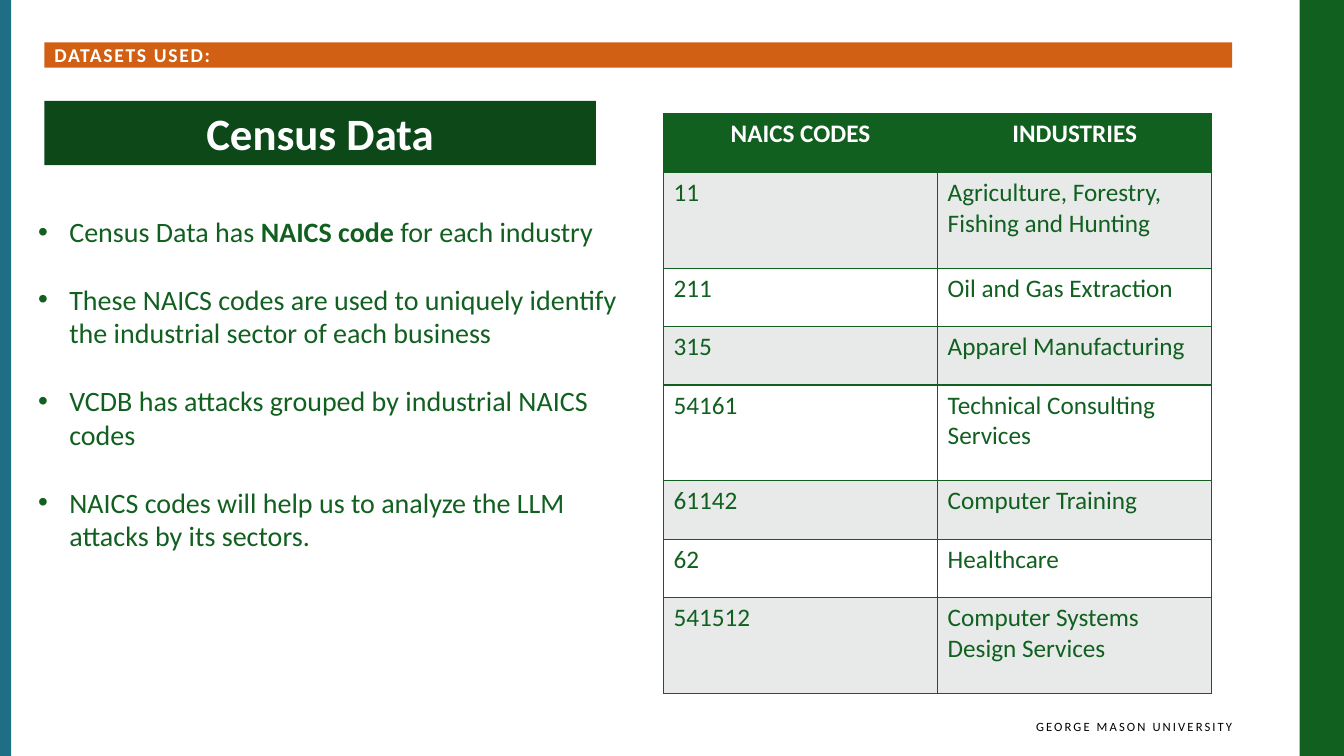
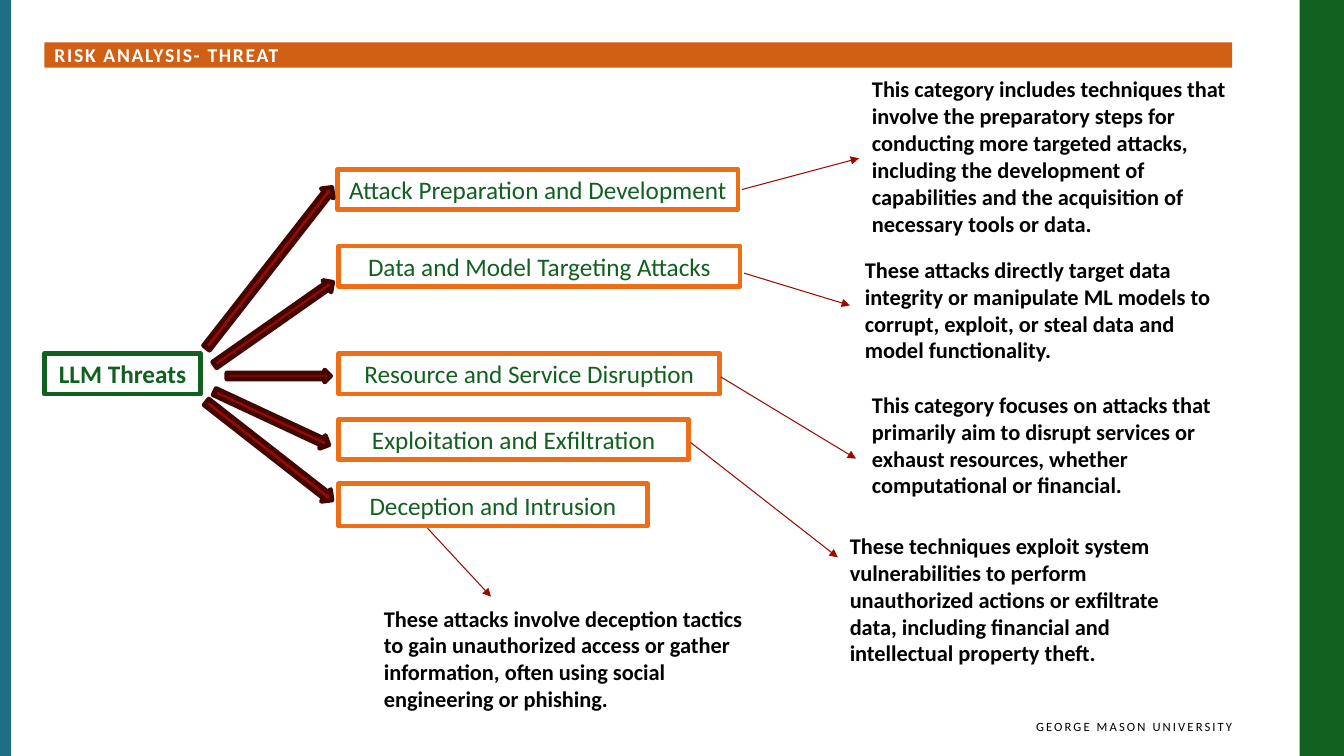
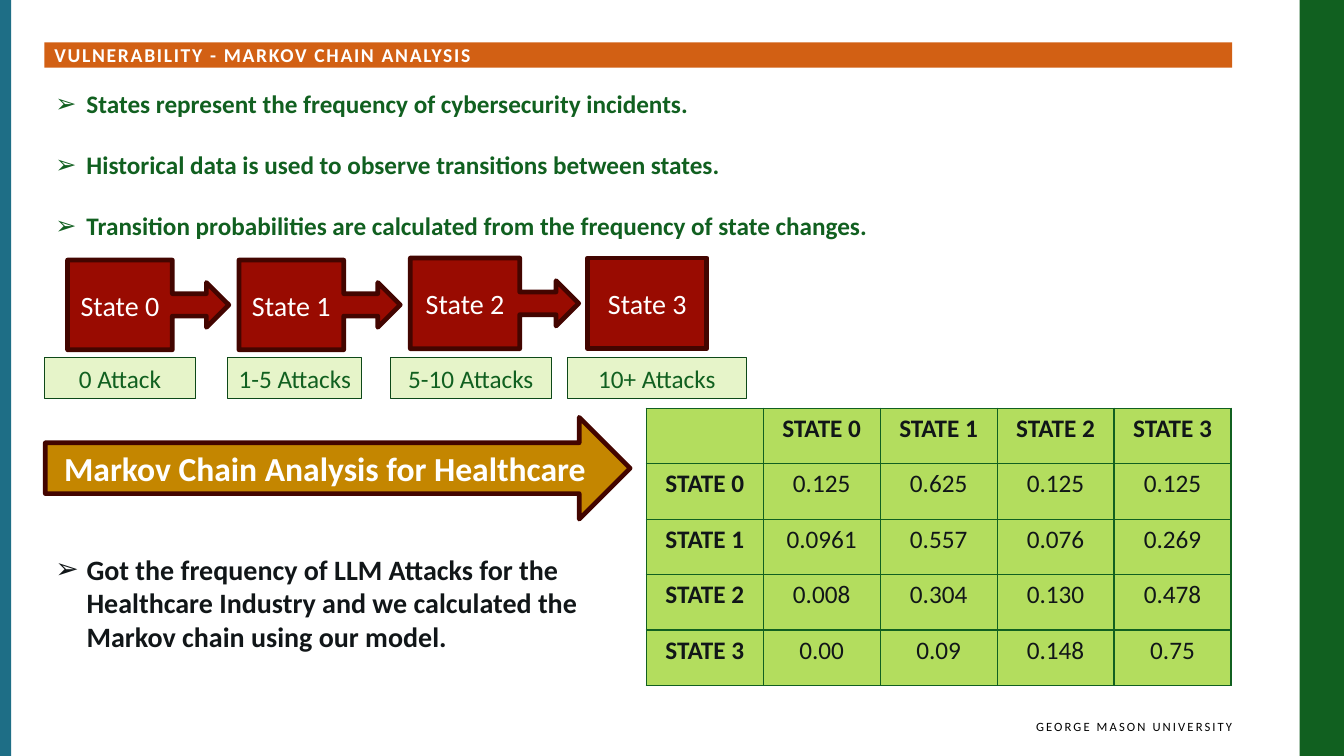
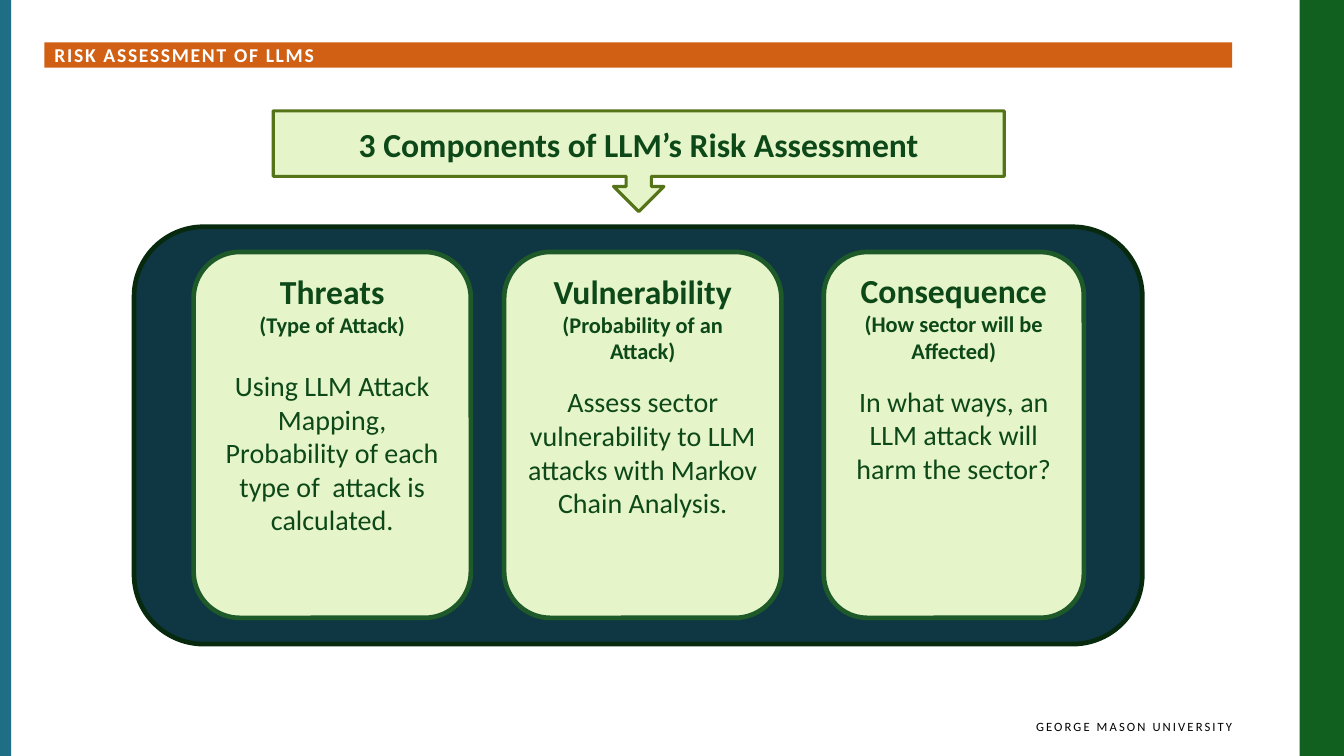
from dataclasses import dataclass

from lxml import etree
from pptx import Presentation
from pptx.dml.color import RGBColor
from pptx.enum.shapes import MSO_CONNECTOR, MSO_SHAPE
from pptx.enum.text import MSO_ANCHOR, PP_ALIGN
from pptx.oxml.ns import qn
from pptx.util import Inches, Pt

LEFT, CENTER, RIGHT = PP_ALIGN.LEFT, PP_ALIGN.CENTER, PP_ALIGN.RIGHT
TOP, MIDDLE = MSO_ANCHOR.TOP, MSO_ANCHOR.MIDDLE
RECT, ROUNDED = MSO_SHAPE.RECTANGLE, MSO_SHAPE.ROUNDED_RECTANGLE
ARROW = MSO_SHAPE.RIGHT_ARROW
RIGHT_CALLOUT = MSO_SHAPE.RIGHT_ARROW_CALLOUT
DOWN_CALLOUT = MSO_SHAPE.DOWN_ARROW_CALLOUT
STRAIGHT = MSO_CONNECTOR.STRAIGHT


@dataclass(frozen=True)
class Theme:
    font: str = "Calibri"
    white: str = "FFFFFF"
    black: str = "000000"
    ink: str = "111618"
    green: str = "116020"
    dark_green: str = "0D4818"
    card_edge: str = "1E5929"
    panel_edge: str = "072A0E"
    pale_green: str = "E6F4C9"
    lime: str = "B3DD5E"
    olive: str = "557318"
    gray: str = "E7EAE8"
    teal: str = "1E6E86"
    navy: str = "0F3743"
    title_orange: str = "D26014"
    orange: str = "EE6D17"
    gold: str = "C48600"
    red: str = "990B01"
    connector_red: str = "9A0A00"
    dark_red: str = "430500"
    footer_size: float = 9
    title_size: float = 14
    note_size: float = 16
    label_size: float = 18
    body_size: float = 20
    heading_size: float = 24
    banner_size: float = 32
    thin: float = 0.75
    medium: float = 2.25
    thick: float = 3.35


theme = Theme()


def add_box(shapes, kind, box, fill, line=None, width=theme.thick):
    """Add a preset shape with a plain fill and an optional outline."""
    shape = shapes.add_shape(kind, *map(Inches, box))
    shape.shadow.inherit = False
    shape.fill.solid()
    shape.fill.fore_color.rgb = RGBColor.from_string(fill)
    if line:
        shape.line.color.rgb = RGBColor.from_string(line)
        shape.line.width = Pt(width)
    else:
        shape.line.fill.background()
    return shape


def write(frame, runs, size, color, bold=False, align=LEFT, bullet="", before=0, spacing=0):
    """Write one paragraph; runs is a text or a list of (text, bold)."""
    frame.word_wrap = True
    paragraph = frame.paragraphs[0]
    if paragraph.runs:
        paragraph = frame.add_paragraph()
        paragraph.space_before = Pt(before)
    paragraph.alignment = align
    if bullet:
        properties = paragraph._p.get_or_add_pPr()
        properties.set("marL", str(Inches(0.31)))
        properties.set("indent", str(Inches(-0.31)))
        etree.SubElement(properties, qn("a:buFont"), typeface="Arial")
        etree.SubElement(properties, qn("a:buChar"), char=bullet)
    for text, is_bold in [(runs, bold)] if isinstance(runs, str) else runs:
        run = paragraph.add_run()
        run.text = text
        run.font.name = theme.font
        run.font.size = Pt(size)
        run.font.bold = is_bold
        run.font.color.rgb = RGBColor.from_string(color)
        if spacing:
            run._r.get_or_add_rPr().set("spc", str(round(spacing * 100)))


prs = Presentation()
prs.slide_width, prs.slide_height = Inches(13.33), Inches(7.5)
layout = prs.slide_layouts[5]

# Slides with their title bars
titles = [
    "DATASETS USED:",
    "RISK ANALYSIS- THREAT",
    "VULNERABILITY - MARKOV CHAIN ANALYSIS",
    "RISK ASSESSMENT OF LLMS",
]
for title_text in titles:
    title = prs.slides.add_slide(layout).shapes.title
    title.left, title.top, title.width, title.height = map(Inches, (0.44, 0.42, 11.78, 0.25))
    title.fill.solid()
    title.fill.fore_color.rgb = RGBColor.from_string(theme.title_orange)
    title_frame = title.text_frame
    title_frame.margin_top = title_frame.margin_bottom = 0
    title_frame.vertical_anchor = MIDDLE
    write(title_frame, title_text, theme.title_size, theme.white, True, spacing=1.2)
data_slide, threat_slide, markov_slide, risk_slide = prs.slides

# Side bands and footer, moved to the layout that all slides share
right_band = add_box(data_slide.shapes, RECT, (12.89, 0, 0.44, 7.5), theme.green)
left_band = add_box(data_slide.shapes, RECT, (0, 0, 0.11, 7.5), theme.teal)
footer = data_slide.shapes.add_textbox(*map(Inches, (6.78, 7.08, 5.44, 0.33)))
footer.text_frame.margin_right = 0
write(footer.text_frame, "GEORGE MASON UNIVERSITY", theme.footer_size, theme.black,
      align=RIGHT, spacing=1.5)
for shape_id, shared in enumerate((right_band, left_band, footer), start=20):
    shared._element.nvSpPr.cNvPr.set("id", str(shape_id))
    layout.shapes._spTree.append(shared._element)

# Datasets: banner and bullets
banner = add_box(data_slide.shapes, RECT, (0.44, 1, 5.47, 0.64), theme.dark_green)
write(banner.text_frame, "Census Data", theme.banner_size, theme.white, True, CENTER)

census_points = [
    [("Census Data has ", False), ("NAICS code ", True), ("for each industry", False)],
    "These NAICS codes are used to uniquely identify the industrial sector of each business",
    "VCDB has attacks grouped by industrial NAICS codes",
    "NAICS codes will help us to analyze the LLM attacks by its sectors.",
]
census_text = data_slide.shapes.add_textbox(*map(Inches, (0.28, 2.08, 6.17, 3.47)))
for point in census_points:
    write(census_text.text_frame, point, theme.body_size, theme.green, bullet="•", before=24.4)

# Threats: root box
root = add_box(threat_slide.shapes, RECT, (0.44, 3.51, 1.55, 0.4), theme.white, theme.green)
write(root.text_frame, "LLM Threats", theme.label_size, theme.green, True, CENTER)

# Each threat: label, its box, block arrow and rotation, connector ends, note, its box
threats = [
    ("Attack Preparation and Development", (3.35, 1.68, 3.97, 0.4),
     (1.66, 2.58, 2.02, 0.15), 308, (7.36, 1.88, 8.52, 1.57),
     "This category includes techniques that involve the preparatory steps for conducting "
     "more targeted attacks, including the development of capabilities and the acquisition "
     "of necessary tools or data.", (8.55, 0.7, 3.72, 1.72)),
    ("Data and Model Targeting Attacks", (3.36, 2.44, 3.98, 0.4),
     (2, 3.14, 1.43, 0.14), 325, (7.38, 2.71, 8.43, 3.03),
     "These attacks directly target data integrity or manipulate ML models to corrupt, "
     "exploit, or steal data and model functionality.", (8.48, 2.49, 3.87, 1.18)),
    ("Resource and Service Disruption", (3.36, 3.51, 3.78, 0.4),
     (2.25, 3.67, 1.03, 0.12), 0, (7.15, 3.74, 8.49, 4.55),
     "This category focuses on attacks that primarily aim to disrupt services or exhaust "
     "resources, whether computational or financial.", (8.55, 3.83, 3.81, 1.18)),
    ("Exploitation and Exfiltration", (3.36, 4.16, 3.47, 0.4),
     (2.07, 4.08, 1.25, 0.14), 25, (6.85, 4.39, 8.31, 5.53),
     "These techniques exploit system vulnerabilities to perform unauthorized actions or "
     "exfiltrate data, including financial and intellectual property theft.",
     (8.33, 5.23, 3.46, 1.45)),
    ("Deception and Intrusion", (3.36, 4.8, 3.06, 0.42),
     (1.88, 4.4, 1.58, 0.15), 38, (4.24, 5.24, 4.87, 5.92),
     "These attacks involve deception tactics to gain unauthorized access or gather "
     "information, often using social engineering or phishing.", (3.71, 5.95, 3.94, 1.18)),
]
for label, label_box, arrow_box, rotation, ends, note, note_box in threats:
    threat = add_box(threat_slide.shapes, RECT, label_box, theme.white, theme.orange)
    write(threat.text_frame, label, theme.label_size, theme.green, align=CENTER)

    branch = add_box(threat_slide.shapes, ARROW, arrow_box, theme.red, theme.dark_red)
    branch.rotation = rotation

    pointer = threat_slide.shapes.add_connector(STRAIGHT, *map(Inches, ends))
    pointer.line.color.rgb = RGBColor.from_string(theme.connector_red)
    pointer.line.width = Pt(theme.thin)
    etree.SubElement(pointer.line._get_or_add_ln(), qn("a:tailEnd"), type="triangle")
    etree.SubElement(pointer._element.spPr, qn("a:effectLst"))

    description = threat_slide.shapes.add_textbox(*map(Inches, note_box))
    write(description.text_frame, note, theme.note_size, theme.black, True)

# Markov chain: opening bullets
state_points = [
    "States represent the frequency of cybersecurity incidents.",
    "Historical data is used to observe transitions between states.",
    "Transition probabilities are calculated from the frequency of state changes.",
]
state_text = markov_slide.shapes.add_textbox(*map(Inches, (0.45, 0.83, 11.16, 1.62)))
for point in state_points:
    write(state_text.text_frame, point, theme.label_size, theme.green, True,
          bullet="➢", before=22)

# Markov chain: states with their attack ranges
states = [
    (RIGHT_CALLOUT, (0.67, 2.58, 1.6, 0.89), "0 Attack", 0.44, 1.5),
    (RIGHT_CALLOUT, (2.37, 2.58, 1.6, 0.89), "1-5 Attacks", 2.26, 1.33),
    (RIGHT_CALLOUT, (4.07, 2.56, 1.67, 0.9), "5-10 Attacks", 3.87, 1.6),
    (RECT, (5.83, 2.56, 1.18, 0.9), "10+ Attacks", 5.63, 1.77),
]
for number, (kind, state_box, attacks, range_left, range_width) in enumerate(states):
    state = add_box(markov_slide.shapes, kind, state_box, theme.red, theme.dark_red)
    write(state.text_frame, f"State {number}", theme.body_size, theme.white, align=CENTER)
    attack_range = add_box(markov_slide.shapes, RECT, (range_left, 3.55, range_width, 0.4),
                           theme.pale_green, theme.dark_green, theme.thin)
    write(attack_range.text_frame, attacks, theme.label_size, theme.green, align=CENTER)

# Markov chain: healthcare arrow and finding
healthcare = add_box(markov_slide.shapes, ARROW, (0.45, 4.14, 5.8, 1.01),
                     theme.gold, theme.dark_red)
write(healthcare.text_frame, "Markov Chain Analysis for Healthcare",
      theme.heading_size, theme.white, True, CENTER)
finding = markov_slide.shapes.add_textbox(*map(Inches, (0.45, 5.43, 5.79, 1.11)))
write(finding.text_frame,
      "Got the frequency of LLM Attacks for the Healthcare Industry and we calculated the "
      "Markov chain using our model.", theme.body_size, theme.ink, True, bullet="➢")

# Tables: industry codes and transition probabilities
industries = [
    ("NAICS CODES", "INDUSTRIES"),
    ("11", "Agriculture, Forestry, Fishing and Hunting"),
    ("211", "Oil and Gas Extraction"),
    ("315", "Apparel Manufacturing"),
    ("54161", "Technical Consulting Services"),
    ("61142", "Computer Training"),
    ("62", "Healthcare"),
    ("541512", "Computer Systems Design Services"),
]
transitions = [
    ("", "STATE 0", "STATE 1", "STATE 2", "STATE 3"),
    ("STATE 0", "0.125", "0.625", "0.125", "0.125"),
    ("STATE 1", "0.0961", "0.557", "0.076", "0.269"),
    ("STATE 2", "0.008", "0.304", "0.130", "0.478"),
    ("STATE 3", "0.00", "0.09", "0.148", "0.75"),
]
industry_heights = [0.58, 0.95, 0.58, 0.58, 0.95, 0.58, 0.58, 0.95]
# Slide, left, top, column width, row heights, rows, body alignment,
# header and body text colours, header fill, alternating body fills, bold first column
tables = [
    (data_slide, 6.58, 1.13, 2.72, industry_heights, industries, LEFT,
     theme.white, theme.green, theme.green, (theme.gray, theme.white), False),
    (markov_slide, 6.41, 4.05, 1.16, [0.55] * 5, transitions, CENTER,
     theme.ink, theme.ink, theme.lime, (theme.lime, theme.lime), True),
]
for (slide, left, top, column_width, heights, rows, body_align,
     header_color, body_color, header_fill, body_fills, bold_first) in tables:
    column_count = len(rows[0])
    table = slide.shapes.add_table(
        len(rows), column_count, Inches(left), Inches(top),
        Inches(column_width * column_count), Inches(sum(heights))).table
    for column in table.columns:
        column.width = Inches(column_width)
    for r, (height, values) in enumerate(zip(heights, rows)):
        table.rows[r].height = Inches(height)
        is_header = r == 0
        for c, value in enumerate(values):
            cell = table.cell(r, c)
            for side in ("a:lnL", "a:lnR", "a:lnT", "a:lnB"):
                border = etree.SubElement(cell._tc.get_or_add_tcPr(), qn(side), w=str(Pt(1)))
                border_fill = etree.SubElement(border, qn("a:solidFill"))
                etree.SubElement(border_fill, qn("a:srgbClr"), val=theme.green)
            cell.fill.solid()
            cell.fill.fore_color.rgb = RGBColor.from_string(
                header_fill if is_header else body_fills[(r - 1) % 2])
            if value:
                write(cell.text_frame, value, theme.label_size,
                      header_color if is_header else body_color,
                      is_header or (bold_first and c == 0),
                      CENTER if is_header else body_align)

# Risk assessment: panel with three component cards
components = [
    (1.92, 2.75, "Threats", "(Type of Attack)", 22,
     "Using LLM Attack Mapping, Probability of each type of  attack is calculated."),
    (5, 2.75, "Vulnerability", "(Probability of an Attack)", 14.6,
     "Assess sector vulnerability to LLM attacks with Markov Chain Analysis."),
    (8.17, 2.58, "Consequence", "(How sector will be Affected)", 14.6,
     "In what ways, an LLM attack will harm the sector?"),
]
panel = risk_slide.shapes.add_group_shape()
add_box(panel.shapes, ROUNDED, (1.33, 2.25, 10, 4.14), theme.navy, theme.panel_edge)
for left, width, name, meaning, gap, explanation in components:
    card = add_box(panel.shapes, ROUNDED, (left, 2.5, width, 3.63),
                   theme.pale_green, theme.card_edge)
    card_frame = card.text_frame
    card_frame.vertical_anchor = TOP
    write(card_frame, name, theme.heading_size, theme.dark_green, True, CENTER)
    write(card_frame, meaning, theme.note_size, theme.dark_green, True, CENTER)
    write(card_frame, explanation, theme.body_size, theme.dark_green, align=CENTER, before=gap)

# Risk assessment: heading callout
callout = add_box(risk_slide.shapes, DOWN_CALLOUT, (2.71, 1.1, 7.25, 1),
                  theme.pale_green, theme.olive, theme.medium)
write(callout.text_frame, "3 Components of LLM’s Risk Assessment",
      theme.heading_size, theme.dark_green, True, CENTER)

prs.save("out.pptx")
